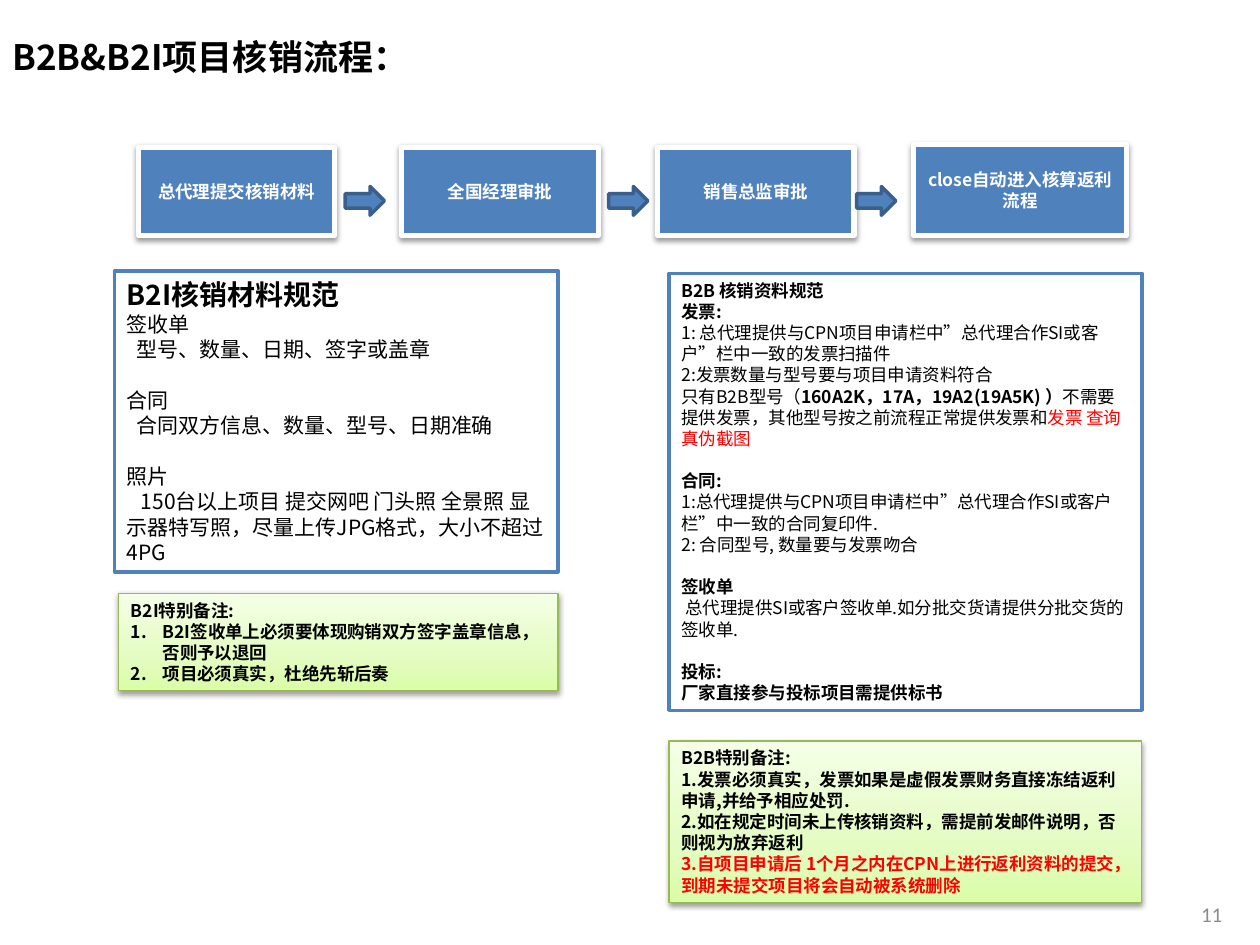
from copy import deepcopy
from dataclasses import dataclass

from lxml import etree
from pptx import Presentation
from pptx.dml.color import RGBColor
from pptx.enum.shapes import MSO_SHAPE
from pptx.enum.text import MSO_ANCHOR, PP_ALIGN
from pptx.oxml.ns import qn
from pptx.util import Cm, Pt

RECT, ARROW = MSO_SHAPE.RECTANGLE, MSO_SHAPE.RIGHT_ARROW
TOP, MIDDLE = MSO_ANCHOR.TOP, MSO_ANCHOR.MIDDLE
LEFT, CENTER, RIGHT = PP_ALIGN.LEFT, PP_ALIGN.CENTER, PP_ALIGN.RIGHT


@dataclass(frozen=True)
class Theme:
    font: str = "Noto Sans CJK SC"
    number_font: str = "Calibri"
    black: str = "000000"
    white: str = "FFFFFF"
    red: str = "FF0000"
    gray: str = "8C8C8C"
    blue: str = "4F81BD"
    dark_blue: str = "3A5F8C"
    green: str = "98B955"
    gradient: tuple = ((0, "DAFDA7"), (0.35, "E4FCC2"), (1, "F5FFE7"))
    title: int = 20
    heading: int = 16
    body: int = 12
    small: int = 10
    leading: float = 1.21


T = Theme()


def style(p, size, bold=True, color=T.black, font=T.font, align=LEFT):
    p.alignment = align
    p.line_spacing = Pt(round(size * T.leading, 1))
    for r in p.runs:
        r.font.size, r.font.bold, r.font.name = Pt(size), bold, font
        r.font.color.rgb = RGBColor.from_string(color)
        etree.SubElement(r.font._element, qn("a:ea"), typeface=font)


def add_box(shape, box, fill, line, width, shadow=False):
    sp = s.shapes.add_shape(shape, *(Cm(v) for v in box))
    sp.shadow.inherit = False
    sp.line.color.rgb = RGBColor.from_string(line)
    sp.line.width = Pt(width)
    spPr = sp._element.spPr
    if isinstance(fill, str):
        sp.fill.solid()
        sp.fill.fore_color.rgb = RGBColor.from_string(fill)
    else:
        sp.fill.gradient()
        sp.fill.gradient_angle = 90
        stops = spPr.find(qn("a:gradFill")).find(qn("a:gsLst"))
        stops.append(deepcopy(stops[0]))
        for stop, (position, color) in zip(sp.fill.gradient_stops, fill):
            stop.position = position
            stop.color.rgb = RGBColor.from_string(color)
    if shadow:
        outer = etree.SubElement(spPr.find(qn("a:effectLst")), qn("a:outerShdw"),
                                 blurRad=str(Pt(3.1)), dist=str(Pt(1.6)),
                                 dir="5400000", rotWithShape="0")
        color = etree.SubElement(outer, qn("a:srgbClr"), val=T.black)
        etree.SubElement(color, qn("a:alpha"), val="38000")
    sp.text_frame.word_wrap = True
    return sp


prs = Presentation()
prs.slide_width, prs.slide_height = Cm(25.4), Cm(19.05)
s = prs.slides.add_slide(prs.slide_layouts[6])

steps = [
    ("总代理提交核销材料", (2.79, 2.97, 3.96, 1.78)),
    ("全国经理审批", (8.1, 2.97, 3.96, 1.78)),
    ("销售总监审批", (13.26, 2.97, 3.96, 1.78)),
    ("close自动进入核算返利流程", (18.42, 2.92, 4.29, 1.83)),
]
for text, box in steps:
    sp = add_box(RECT, box, T.blue, T.white, 3, shadow=True)
    tf = sp.text_frame
    tf.text = text
    tf.vertical_anchor = MIDDLE
    style(tf.paragraphs[0], T.small, color=T.white, align=CENTER)

for left in (6.96, 12.27, 17.27):
    add_box(ARROW, (left, 3.76, 0.79, 0.58), T.blue, T.dark_blue, 2)

labels = [
    ("B2B&B2I项目核销流程：", (0, 0.58, 9.12, 1.12), TOP,
     dict(size=T.title)),
    ("11", (18.97, 17.91, 5.92, 1.02), MIDDLE,
     dict(size=T.body, bold=False, color=T.gray, font=T.number_font, align=RIGHT)),
]
for text, box, anchor, look in labels:
    tf = s.shapes.add_textbox(*(Cm(v) for v in box)).text_frame
    tf.word_wrap = True
    tf.vertical_anchor = anchor
    tf.text = text
    style(tf.paragraphs[0], **look)

plain = dict(bold=False)
spec_look = dict(fill=T.white, line=T.blue, width=2)
note_look = dict(fill=T.gradient, line=T.green, width=0.75, shadow=True)
b2i = dict(size=T.body, bold=False)
mixed = [
    ("只有B2B型号（", plain),
    ("160A2K，17A，19A2(19A5K) ）", {}),
    ("不需要提供发票，其他型号按之前流程正常提供发票和", plain),
    ("发票 查询真伪截图", dict(bold=False, color=T.red)),
]
panels = [
    ((2.31, 5.46, 8.94, 6.07), spec_look, [
        ("B2I核销材料规范", dict(size=T.heading)),
        ("签收单", b2i),
        ("型号、数量、日期、签字或盖章", dict(b2i, indent=0.19)),
        ("合同", dict(b2i, gap=True)),
        ("合同双方信息、数量、型号、日期准确", dict(b2i, indent=0.19)),
        ("照片", dict(b2i, gap=True)),
        ("150台以上项目 提交网吧 门头照 全景照 显示器特写照，尽量上传JPG格式，大小不超过4PG",
         dict(b2i, indent=0.28)),
    ]),
    ((2.39, 11.96, 8.86, 1.96), note_look, [
        ("B2I特别备注:", {}),
        ("B2I签收单上必须要体现购销双方签字盖章信息，否则予以退回", dict(numbered=True)),
        ("项目必须真实，杜绝先斩后奏", dict(numbered=True)),
    ]),
    ((13.49, 5.51, 9.53, 8.81), spec_look, [
        ("B2B 核销资料规范", {}),
        ("发票:", {}),
        ("1: 总代理提供与CPN项目申请栏中”总代理合作SI或客户”栏中一致的发票扫描件", plain),
        ("2:发票数量与型号要与项目申请资料符合", plain),
        (mixed, {}),
        ("合同:", dict(gap=True)),
        ("1:总代理提供与CPN项目申请栏中”总代理合作SI或客户栏”中一致的合同复印件.", plain),
        ("2: 合同型号, 数量要与发票吻合", plain),
        ("签收单", dict(gap=True)),
        ("总代理提供SI或客户签收单.如分批交货请提供分批交货的签收单.",
         dict(plain, indent=0.08)),
        ("投标:", dict(gap=True)),
        ("厂家直接参与投标项目需提供标书", {}),
    ]),
    ((13.49, 14.94, 9.53, 3.25), note_look, [
        ("B2B特别备注:", {}),
        ("1.发票必须真实，发票如果是虚假发票财务直接冻结返利申请,并给予相应处罚.", {}),
        ("2.如在规定时间未上传核销资料，需提前发邮件说明，否则视为放弃返利", {}),
        ("3.自项目申请后 1个月之内在CPN上进行返利资料的提交，到期未提交项目将会自动被系统删除",
         dict(color=T.red)),
    ]),
]
for box, look, lines in panels:
    tf = add_box(RECT, box, **look).text_frame
    tf.vertical_anchor = TOP
    for i, (text, fmt) in enumerate(lines):
        p = tf.add_paragraph() if i else tf.paragraphs[0]
        size = fmt.get("size", T.small)
        parts = [(text, fmt)] if isinstance(text, str) else text
        p.text = "".join(part for part, _ in parts) if len(parts) == 1 else ""
        if len(parts) > 1:
            for part, _ in parts:
                p.add_run().text = part
        style(p, size)
        for r, (_, part_fmt) in zip(p.runs, parts):
            r.font.bold = part_fmt.get("bold", True)
            r.font.color.rgb = RGBColor.from_string(part_fmt.get("color", T.black))
        if fmt.get("gap"):
            p.space_before = Pt(round(size * T.leading, 1))
        pPr = p._p.get_or_add_pPr()
        if "indent" in fmt:
            pPr.set("indent", str(Cm(fmt["indent"])))
        if fmt.get("numbered"):
            pPr.set("marL", str(Cm(0.64)))
            pPr.set("indent", str(-Cm(0.64)))
            etree.SubElement(pPr, qn("a:buAutoNum"), type="arabicPeriod")

prs.save("out.pptx")
